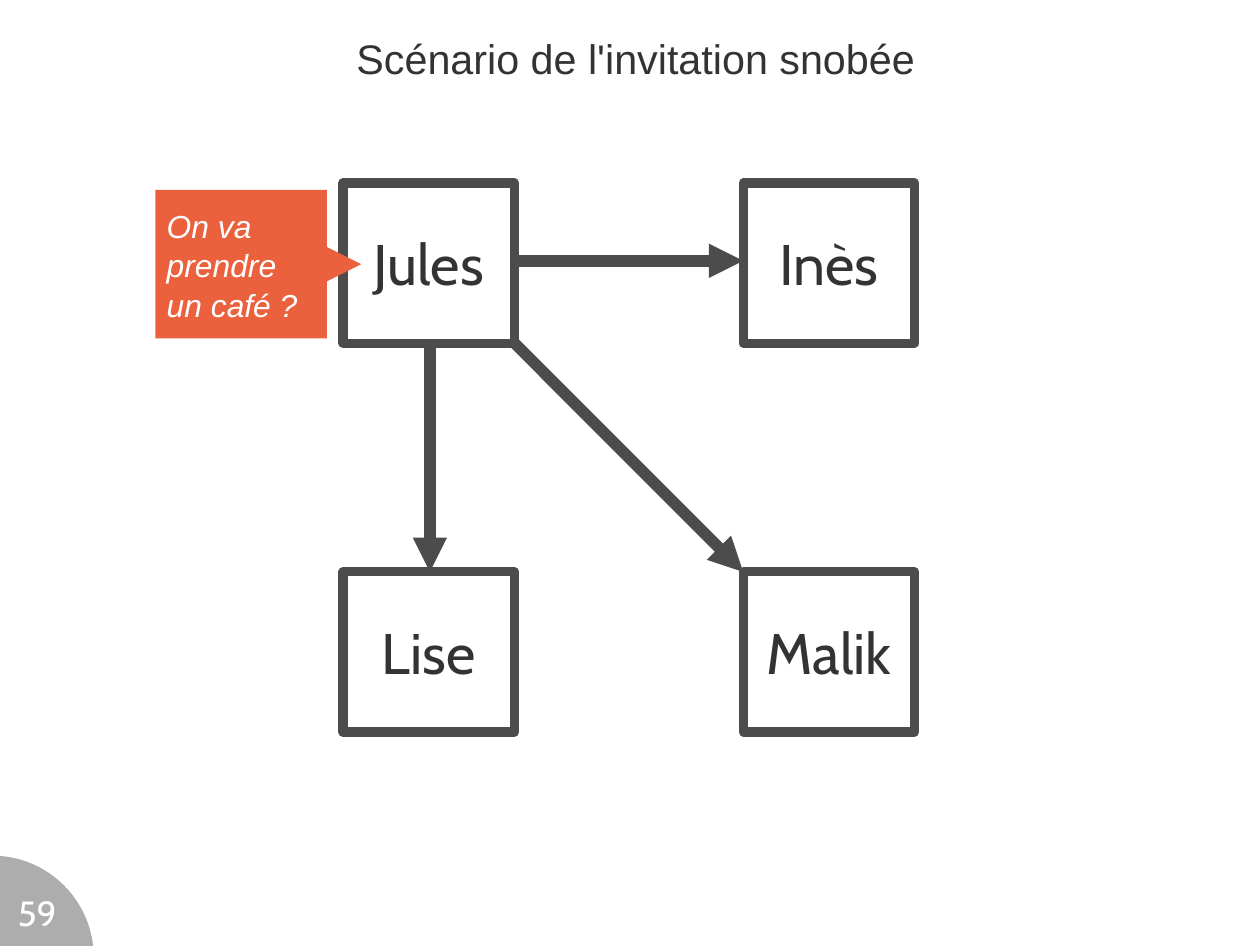
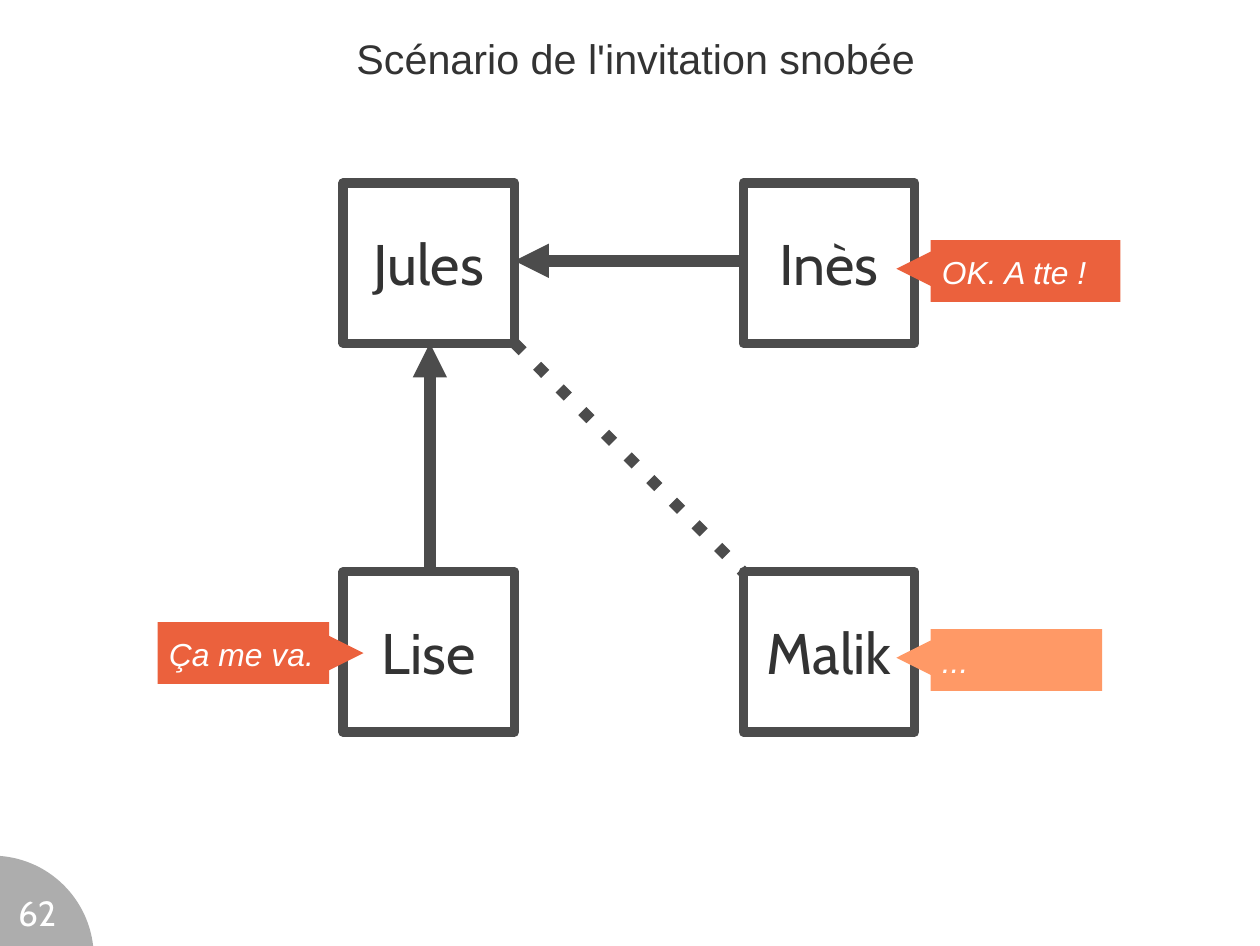
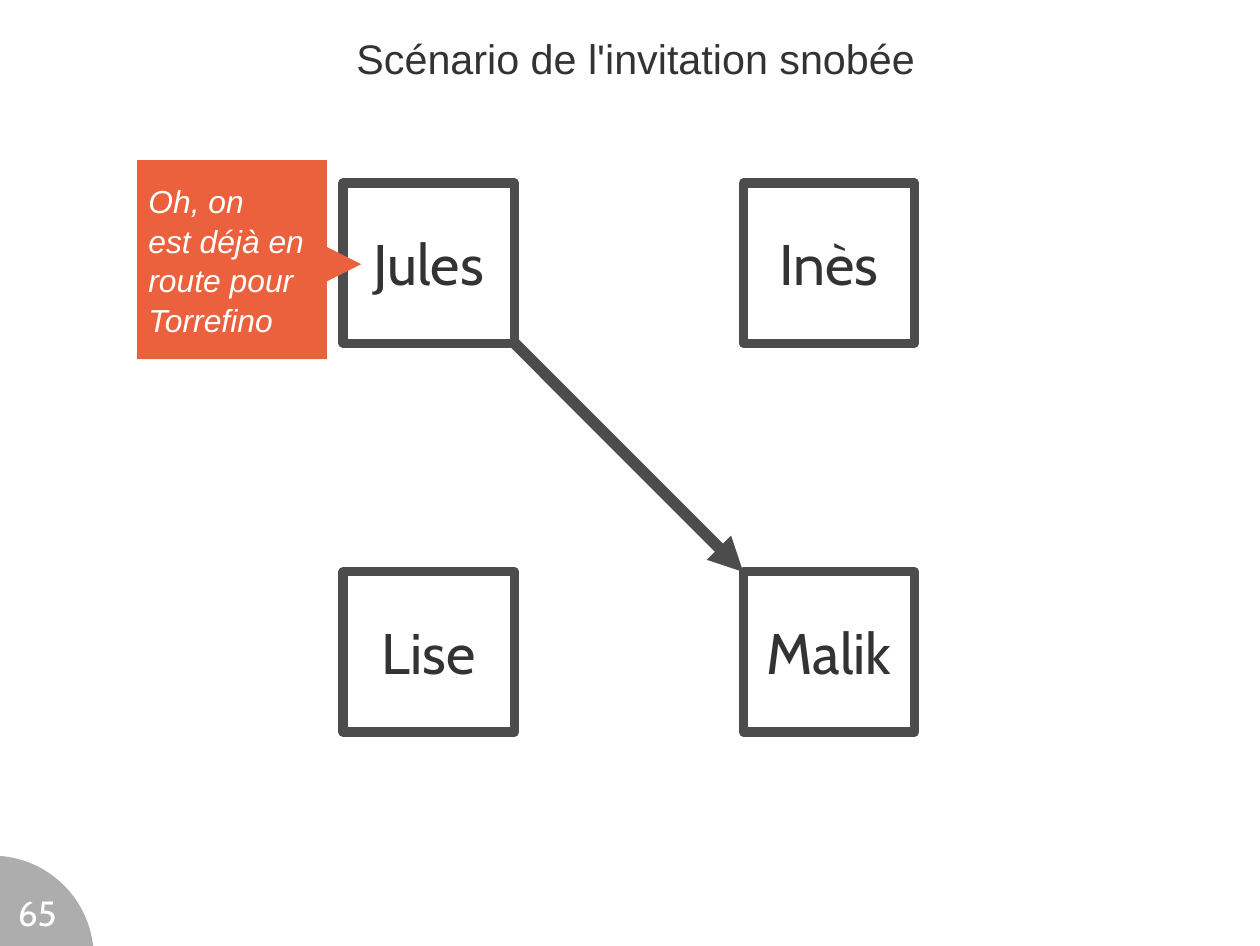
from lxml import etree
from pptx import Presentation
from pptx.dml.color import RGBColor
from pptx.enum import shapes as kinds, text as layout
from pptx.oxml import ns
from pptx.util import Inches, Pt

COLOURS = {
    "ink": "333333",
    "frame": "4C4C4C",
    "speech": "EB613D",
    "silence": "FF9966",
    "white": "FFFFFF",
}
BODY_FONT, NAME_FONT = "Arial", "Cabin"
SLIDE_WIDTH, SLIDE_HEIGHT = 11.02, 8.27
TITLE = "Scénario de l'invitation snobée"

COLUMNS, ROWS = (3, 6.5), (1.6, 5)
BOX_WIDTH, BOX_HEIGHT = 1.5, 1.4
PEOPLE = {"Jules": (0, 0), "Inès": (1, 0), "Malik": (1, 1), "Lise": (0, 1)}
ARROW_X = COLUMNS[0] + 0.76
ARROW_Y = ROWS[0] + 0.68
GAP_LEFT, GAP_RIGHT = COLUMNS[0] + BOX_WIDTH, COLUMNS[1]
GAP_TOP, GAP_BOTTOM = ROWS[0] + BOX_HEIGHT, ROWS[1]
# Every link starts on the side of Jules.
LINKS = {
    "Malik": (GAP_LEFT, GAP_TOP, GAP_RIGHT, GAP_BOTTOM),
    "Lise": (ARROW_X, GAP_TOP, ARROW_X, GAP_BOTTOM),
    "Inès": (GAP_LEFT, ARROW_Y, GAP_RIGHT, ARROW_Y),
}
TIP_WIDTH, TIP_HEIGHT = 0.6, 0.3

# Page number, {person: link style}, [(person, text, colour, body box)]
SCENES = [
    ("59",
     {"Malik": "sent", "Lise": "sent", "Inès": "sent"},
     [("Jules", "On va\nprendre\nun café ?", "speech", (1.36, 1.66, 1.5, 1.3))]),
    ("62",
     {"Malik": "dotted", "Lise": "answered", "Inès": "answered"},
     [("Lise", "Ça me va.", "speech", (1.38, 5.44, 1.5, 0.54)),
      ("Inès", "OK. A tte !", "speech", (8.14, 2.1, 1.66, 0.54)),
      ("Malik", "...", "silence", (8.14, 5.5, 1.5, 0.54))]),
    ("65",
     {"Malik": "sent"},
     [("Jules", "Oh, on\nest déjà en\nroute pour\nTorrefino", "speech",
       (1.2, 1.4, 1.66, 1.74))]),
]


def rgb(name):
    return RGBColor.from_string(COLOURS[name])


def inches(box):
    return [Inches(length) for length in box]


def write(shape, words, font, size, colour, centred=True, middle=True,
          insets=(0, 0, 0, 0)):
    """Fill a shape with one paragraph and return that paragraph."""
    frame = shape.text_frame
    frame.word_wrap = True
    frame.vertical_anchor = (
        layout.MSO_ANCHOR.MIDDLE if middle else layout.MSO_ANCHOR.TOP)
    (frame.margin_left, frame.margin_top,
     frame.margin_right, frame.margin_bottom) = inches(insets)
    paragraph = frame.paragraphs[0]
    paragraph.text = words
    paragraph.alignment = (
        layout.PP_ALIGN.CENTER if centred else layout.PP_ALIGN.LEFT)
    paragraph.font.name = font
    paragraph.font.size = Pt(size)
    paragraph.font.color.rgb = rgb(colour)
    return paragraph


def add_filled(parent, kind, box, colour):
    shape = parent.shapes.add_shape(kind, *inches(box))
    shape.shadow.inherit = False
    shape.fill.solid()
    shape.fill.fore_color.rgb = rgb(colour)
    shape.line.fill.background()
    return shape


def add_title(slide):
    box = slide.shapes.add_textbox(*inches((0.33, 0.02, 10.47, 0.98)))
    write(box, TITLE, BODY_FONT, 26, "ink")


def add_page_number(slide, number):
    disc = add_filled(slide, kinds.MSO_SHAPE.OVAL,
                      (-0.96, 7.48, 1.78, 1.78), "ink")
    colour = disc.fill._xPr.find(".//" + ns.qn("a:srgbClr"))
    etree.SubElement(colour, ns.qn("a:alpha"), val="40000")
    box = slide.shapes.add_textbox(*inches((0.09, 7.79, 0.47, 0.39)))
    write(box, number, NAME_FONT, 22, "white", middle=False)


def add_person(slide, name):
    column, row = PEOPLE[name]
    box = slide.shapes.add_shape(
        kinds.MSO_SHAPE.RECTANGLE,
        *inches((COLUMNS[column], ROWS[row], BOX_WIDTH, BOX_HEIGHT)))
    box.shadow.inherit = False
    box.fill.background()
    box.line.color.rgb = rgb("frame")
    box.line.width = Pt(5.75)
    write(box, name, NAME_FONT, 36, "ink", insets=(0.14, 0.09, 0.14, 0.09))


def add_link(slide, name, style):
    """Join Jules to a person: sent and answered links carry an arrowhead."""
    connector = slide.shapes.add_connector(
        kinds.MSO_CONNECTOR.STRAIGHT, *inches(LINKS[name]))
    connector.line.color.rgb = rgb("frame")
    connector.line.width = Pt(7.2)
    outline = connector.line._get_or_add_ln()
    if style == "dotted":
        dashes = etree.SubElement(outline, ns.qn("a:custDash"))
        etree.SubElement(dashes, ns.qn("a:ds"), d="100000", sp="180000")
    else:
        end = "a:tailEnd" if style == "sent" else "a:headEnd"
        etree.SubElement(outline, ns.qn(end), type="triangle")
    etree.SubElement(connector._element.spPr, ns.qn("a:effectLst"))


def add_bubble(slide, name, words, colour, body):
    """Group a speech panel with a diamond whose tip points at the speaker."""
    column, row = PEOPLE[name]
    left, _, width, _ = body
    on_left = column == 0
    edge = left + width if on_left else left
    centre = ROWS[row] + BOX_HEIGHT / 2 + (0.01 if on_left else 0.05)
    group = slide.shapes.add_group_shape()
    add_filled(group, kinds.MSO_SHAPE.DIAMOND,
               (edge - TIP_WIDTH / 2, centre - TIP_HEIGHT / 2,
                TIP_WIDTH, TIP_HEIGHT), colour)
    panel = add_filled(group, kinds.MSO_SHAPE.RECTANGLE, body, colour)
    paragraph = write(panel, words, BODY_FONT, 20, "white", centred=False,
                      insets=(0.1, 0.05, 0, 0.05))
    paragraph.font.italic = True
    paragraph.line_spacing = 1.04


def add_scene(presentation, number, links, bubbles):
    slide = presentation.slides.add_slide(presentation.slide_layouts[6])
    add_page_number(slide, number)
    for name in PEOPLE:
        add_person(slide, name)
    for name, style in links.items():
        add_link(slide, name, style)
    for bubble in bubbles:
        add_bubble(slide, *bubble)
    add_title(slide)


def main():
    presentation = Presentation()
    presentation.slide_width = Inches(SLIDE_WIDTH)
    presentation.slide_height = Inches(SLIDE_HEIGHT)
    for scene in SCENES:
        add_scene(presentation, *scene)
    presentation.save("out.pptx")


if __name__ == "__main__":
    main()
